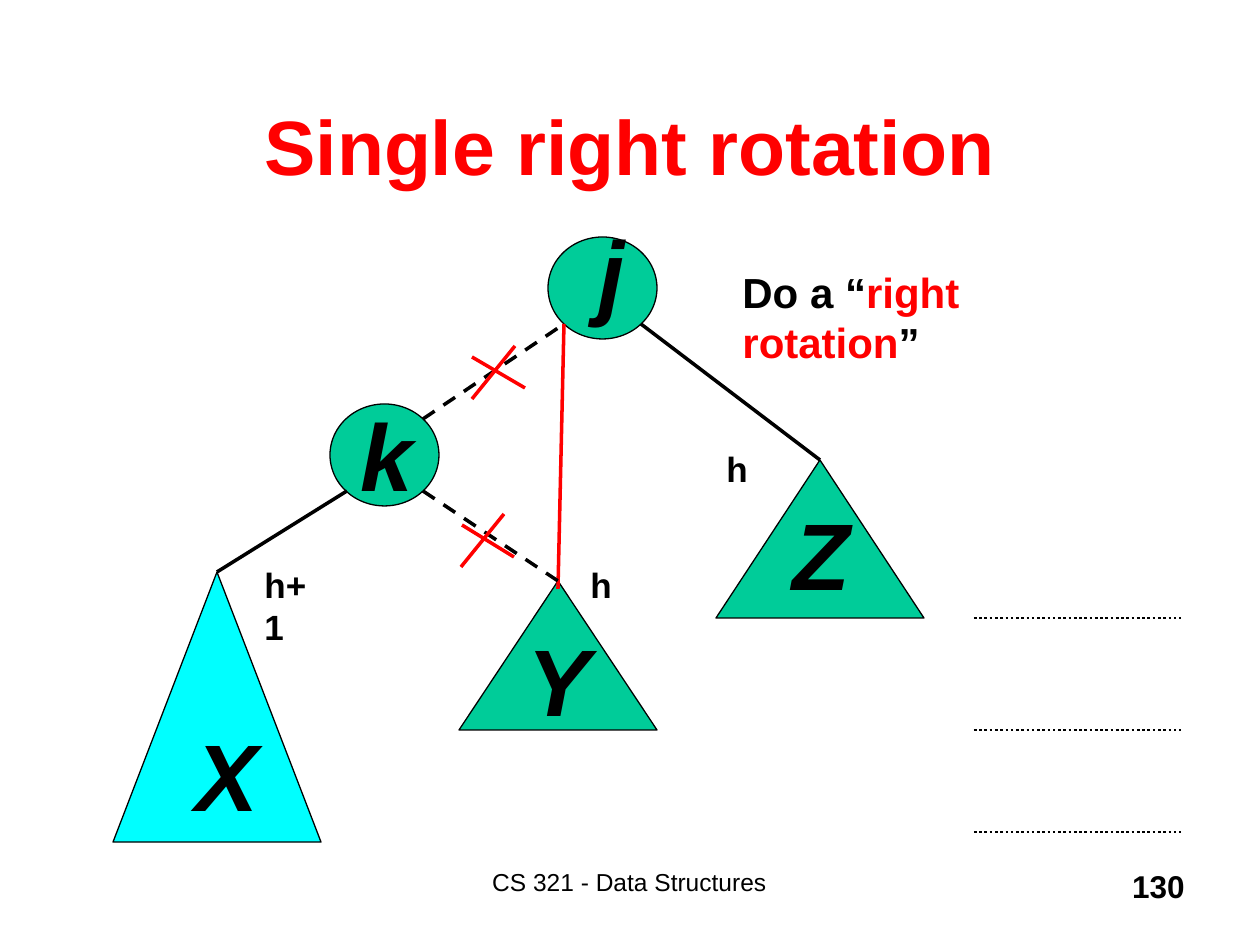
from pptx import Presentation
from pptx.dml.color import RGBColor
from pptx.enum.dml import MSO_LINE as Dash
from pptx.enum.shapes import MSO_CONNECTOR as Link, MSO_SHAPE as Shape
from pptx.enum.text import MSO_ANCHOR as Anchor, MSO_AUTO_SIZE as Fit, PP_ALIGN as Align
from pptx.util import Emu, Pt
from lxml.etree import SubElement
from pptx.oxml.ns import qn

PX = 914400 // 126
BLACK = RGBColor(0, 0, 0)
RED = RGBColor(255, 0, 0)
GREEN = RGBColor(0, 204, 153)
CYAN = RGBColor(0, 255, 255)
FONT = "Arial"

# Tree: left, top, width, height, fill
TITLE = ("Single right rotation", (92, 89, 1077, 111))
NODES = [(548, 237, 109, 102), (330, 404, 109, 102)]
TREES = [
    (113, 572, 208, 270, CYAN),
    (459, 581, 198, 149, GREEN),
    (716, 460, 208, 158, GREEN),
]
# Big letters: text, left, top
NAMES = [("j", 586, 208), ("k", 348, 391), ("X", 183, 711),
         ("Y", 515, 616), ("Z", 780, 490)]
# Height labels: text, left, top, width
HEIGHTS = [("h", 714, 441, 44), ("h+1", 252, 557, 84), ("h", 578, 557, 44)]
NOTE = [("Do a “", BLACK), ("right rotation", RED), ("”", BLACK)]

# Lines: x1, y1, x2, y2
EDGES = [(347, 491, 217, 572), (641, 324, 820, 460)]
CUT = [(423, 419, 564, 324), (423, 491, 558, 581)]
NEW = (564, 324, 558, 589)
CROSSES = [(472, 357, 525, 388), (515, 346, 472, 399),
           (462, 525, 514, 557), (504, 514, 461, 567)]
LEVELS = [618, 730, 832]

deck = Presentation()
deck.slide_width, deck.slide_height = Emu(1260 * PX), Emu(945 * PX)
slide = deck.slides.add_slide(deck.slide_layouts[5])
shapes = slide.shapes


def px(*nums):
    return [Emu(n * PX) for n in nums]


def write(frame, runs, size, bold=True, italic=False, align=Align.LEFT):
    frame.word_wrap = True
    para = frame.paragraphs[0]
    para.alignment = align
    for text, color in runs:
        run = para.add_run()
        run.text = text
        font = run.font
        font.name, font.size = FONT, Pt(size)
        font.bold, font.italic = bold, italic
        font.color.rgb = color


def label(text, box, size, **style):
    frame = shapes.add_textbox(*px(*box)).text_frame
    runs = [(text, BLACK)] if isinstance(text, str) else text
    write(frame, runs, size, **style)


def solid(kind, box, fill):
    shape = shapes.add_shape(kind, *px(*box))
    shape.shadow.inherit = False
    shape.fill.solid()
    shape.fill.fore_color.rgb = fill
    shape.line.color.rgb = BLACK
    shape.line.width = Pt(0.75)


def line(ends, color=BLACK, width=2, dash=None):
    link = shapes.add_connector(Link.STRAIGHT, *px(*ends))
    link.line.color.rgb = color
    link.line.width = Pt(width)
    if dash:
        link.line.dash_style = dash
    SubElement(link._element.spPr, qn("a:effectLst"))


# Title
text, box = TITLE
title = shapes.title
title.left, title.top, title.width, title.height = px(*box)
title.text_frame.auto_size = Fit.NONE
title.text_frame.vertical_anchor = Anchor.MIDDLE
write(title.text_frame, [(text, RED)], 44, align=Align.CENTER)

# Nodes and subtrees
for box in NODES:
    solid(Shape.OVAL, box, GREEN)
for *box, fill in TREES:
    solid(Shape.ISOSCELES_TRIANGLE, box, fill)
for name, x, y in NAMES:
    label(name, (x, y, 67, 126), 54, italic=True)

# Kept, cut and new links
for ends in EDGES:
    line(ends)
line(NEW, RED)
for ends in CUT:
    line(ends, dash=Dash.DASH)
for ends in CROSSES:
    line(ends, RED)

# Level marks
for y in LEVELS:
    line((974, y, 1181, y), width=1.5, dash=Dash.ROUND_DOT)

# Labels and note
for text, x, y, w in HEIGHTS:
    label(text, (x, y, w, 55), 20)
label(NOTE, (730, 260, 387, 63), 24)

# Footer
label("CS 321 - Data Structures", (388, 861, 483, 63), 14,
      bold=False, align=Align.CENTER)
label("130", (935, 861, 262, 63), 18, align=Align.RIGHT)

deck.save("out.pptx")
